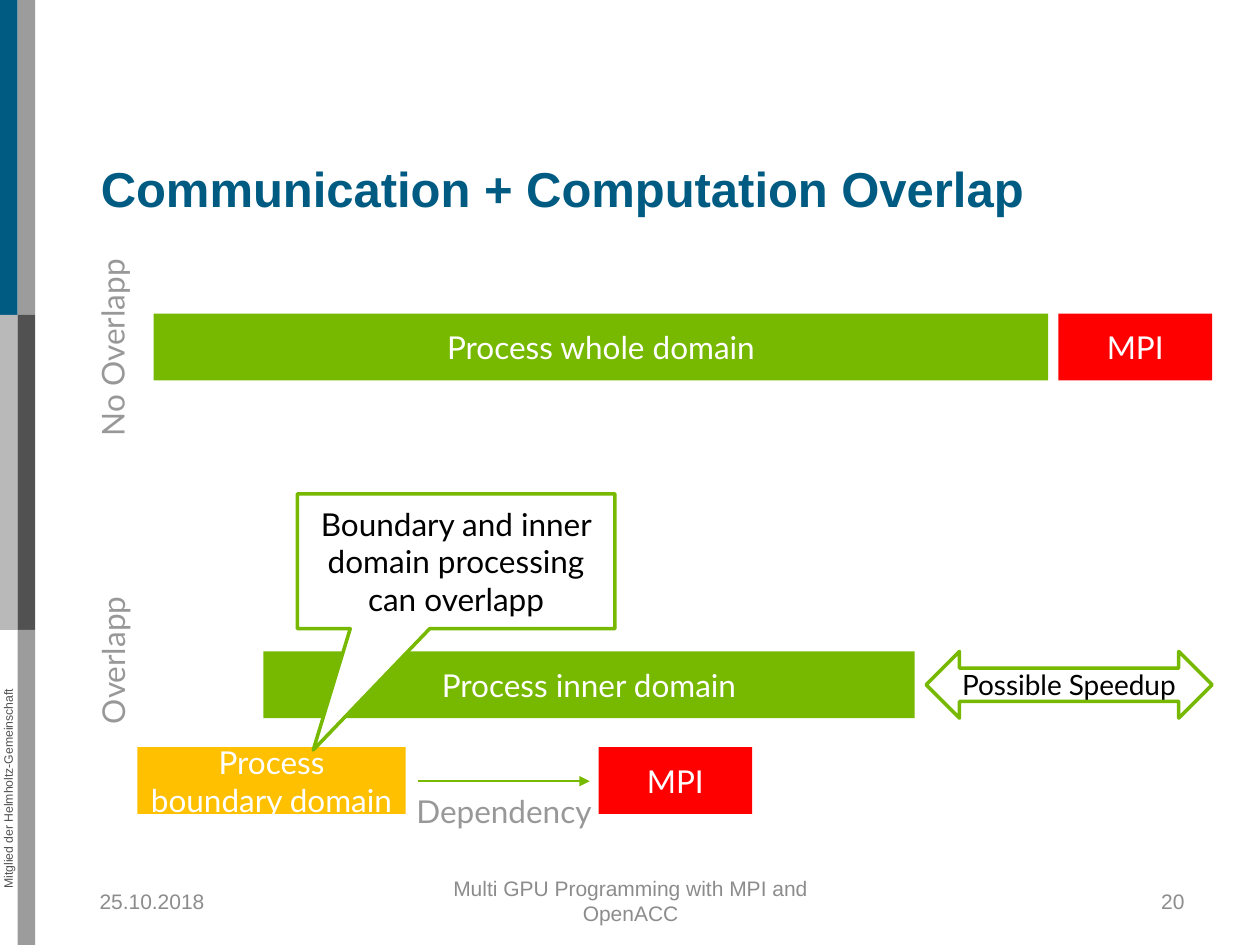
from dataclasses import dataclass

from lxml.etree import SubElement
from pptx import Presentation
from pptx.dml.color import RGBColor
from pptx.enum.shapes import MSO_CONNECTOR, MSO_SHAPE
from pptx.enum.text import MSO_ANCHOR, PP_ALIGN
from pptx.oxml.ns import qn
from pptx.shapes.autoshape import Shape
from pptx.slide import Slide
from pptx.util import Emu, Pt

PX = 9144  # 100 px to the inch

BLUE, GREEN, RED, AMBER = "005B82", "76B900", "FF0000", "FFC000"
WHITE, BLACK = "FFFFFF", "000000"
LIGHT, MIDDLE, DARK = "B9B9B9", "9C9C9C", "515151"
LABEL_GREY, FOOTER_GREY = "989898", "8C8C8C"

BAR_HEIGHT, MPI_WIDTH = 53, 122
NO_OVERLAP_TOP, INNER_TOP, BOUNDARY_TOP = 249, 517, 593
STRIPE_WIDTH, STRIPE_HEIGHT = 14, 250


@dataclass(frozen=True)
class Area:
    left: int
    top: int
    width: int
    height: int

    def emu(self) -> tuple[Emu, ...]:
        return tuple(Emu(value * PX) for value in
                     (self.left, self.top, self.width, self.height))


@dataclass(frozen=True)
class TextStyle:
    font: str = "Lato"
    size: int = 18
    color: str = LABEL_GREY
    bold: bool = False
    align: PP_ALIGN = PP_ALIGN.CENTER
    anchor: MSO_ANCHOR = MSO_ANCHOR.TOP
    insets: tuple[int, int, int, int] = (10, 5, 10, 5)
    wrap: bool = True


@dataclass(frozen=True)
class Label:
    text: str
    area: Area
    style: TextStyle
    rotation: int = 0


@dataclass(frozen=True)
class Bar:
    text: str
    area: Area
    fill: str


def rgb(color: str) -> RGBColor:
    return RGBColor.from_string(color)


def write(shape: Shape, text: str, style: TextStyle) -> None:
    frame = shape.text_frame
    frame.word_wrap = style.wrap
    frame.vertical_anchor = style.anchor
    (frame.margin_left, frame.margin_top,
     frame.margin_right, frame.margin_bottom) = (Emu(inset * PX) for inset in style.insets)
    paragraph = frame.paragraphs[0]
    paragraph.text = text
    paragraph.alignment = style.align
    font = paragraph.font
    font.name, font.size, font.bold = style.font, Pt(style.size), style.bold
    font.color.rgb = rgb(style.color)


def add_label(page: Slide, label: Label) -> None:
    box = page.shapes.add_textbox(*label.area.emu())
    box.rotation = label.rotation
    write(box, label.text, label.style)


def add_block(page: Slide, kind: MSO_SHAPE, area: Area, fill: str,
              outline: str | None = None) -> Shape:
    block = page.shapes.add_shape(kind, *area.emu())
    block.shadow.inherit = False
    block.fill.solid()
    block.fill.fore_color.rgb = rgb(fill)
    if outline:
        block.line.color.rgb = rgb(outline)
        block.line.width = Pt(2)
    else:
        block.line.fill.background()
    return block


def add_bar(page: Slide, bar: Bar) -> None:
    block = add_block(page, MSO_SHAPE.RECTANGLE, bar.area, bar.fill)
    write(block, bar.text, TextStyle(color=WHITE, anchor=MSO_ANCHOR.MIDDLE))


def add_arrow(page: Slide, left: int, right: int, middle: int) -> None:
    arrow = page.shapes.add_connector(
        MSO_CONNECTOR.STRAIGHT, *(Emu(value * PX) for value in (left, middle, right, middle)))
    arrow.line.color.rgb = rgb(GREEN)
    arrow.line.width = Pt(1)
    SubElement(arrow.line._get_or_add_ln(), qn("a:tailEnd"), type="triangle")
    SubElement(arrow._element.spPr, qn("a:effectLst"))


def add_side_stripes(page: Slide) -> None:
    columns = ((BLUE, LIGHT), (MIDDLE, DARK, MIDDLE))
    for column, colors in enumerate(columns):
        for row, color in enumerate(colors):
            area = Area(column * STRIPE_WIDTH, row * STRIPE_HEIGHT, STRIPE_WIDTH, STRIPE_HEIGHT)
            add_block(page, MSO_SHAPE.RECTANGLE, area, color)
    style = TextStyle("Arial", 7, DARK, insets=(0, 0, 0, 0))
    add_label(page, Label("Mitglied der Helmholtz-Gemeinschaft",
                          Area(-118, 620, 249, 12), style, 270))


def add_footer(page: Slide) -> None:
    cells = (
        ("25.10.2018", 79, 233, PP_ALIGN.LEFT, 0),
        ("Multi GPU Programming with MPI and OpenACC", 342, 317, PP_ALIGN.CENTER, 10),
        ("20", 717, 233, PP_ALIGN.RIGHT, 10),
    )
    for text, left, width, align, inset in cells:
        style = TextStyle("Arial", 12, FOOTER_GREY, align=align,
                          anchor=MSO_ANCHOR.MIDDLE, insets=(inset, 5, 10, 5))
        add_label(page, Label(text, Area(left, 695, width, 40), style))


def add_title(page: Slide) -> None:
    title = page.shapes.title
    title.left, title.top, title.width, title.height = Area(80, 126, 819, 63).emu()
    write(title, "Communication + Computation Overlap",
          TextStyle("Arial", 28, BLUE, True, PP_ALIGN.LEFT, insets=(0, 0, 0, 0)))


def add_timelines(page: Slide) -> None:
    bars = (
        Bar("Process whole domain", Area(122, NO_OVERLAP_TOP, 710, BAR_HEIGHT), GREEN),
        Bar("MPI", Area(840, NO_OVERLAP_TOP, MPI_WIDTH, BAR_HEIGHT), RED),
        Bar("Process inner domain", Area(209, INNER_TOP, 517, BAR_HEIGHT), GREEN),
        Bar("MPI", Area(475, BOUNDARY_TOP, MPI_WIDTH, BAR_HEIGHT), RED),
        Bar("Process boundary domain", Area(109, BOUNDARY_TOP, 213, BAR_HEIGHT), AMBER),
    )
    for bar in bars:
        add_bar(page, bar)

    add_arrow(page, 332, 468, 620)
    side_style = TextStyle(wrap=False)
    for label in (
        Label("Dependency", Area(312, 624, 176, 40), TextStyle()),
        Label("No Overlapp", Area(4, 256, 170, 40), side_style, 270),
        Label("Overlapp", Area(28, 504, 123, 40), side_style, 270),
    ):
        add_label(page, label)

    callout = add_block(page, MSO_SHAPE.RECTANGULAR_CALLOUT,
                        Area(236, 392, 252, 107), WHITE, GREEN)
    callout.adjustments[0], callout.adjustments[1] = -0.45, 1.4
    write(callout, "Boundary and inner domain processing can overlapp",
          TextStyle(color=BLACK, anchor=MSO_ANCHOR.MIDDLE))

    speedup = add_block(page, MSO_SHAPE.LEFT_RIGHT_ARROW,
                        Area(735, INNER_TOP, 227, BAR_HEIGHT), WHITE, GREEN)
    write(speedup, "Possible Speedup",
          TextStyle(size=16, color=BLACK, anchor=MSO_ANCHOR.MIDDLE))


def main() -> None:
    deck = Presentation()
    deck.slide_width, deck.slide_height = Emu(1000 * PX), Emu(750 * PX)
    page = deck.slides.add_slide(deck.slide_layouts[5])
    add_side_stripes(page)
    add_footer(page)
    add_title(page)
    add_timelines(page)
    deck.save("out.pptx")


if __name__ == "__main__":
    main()
